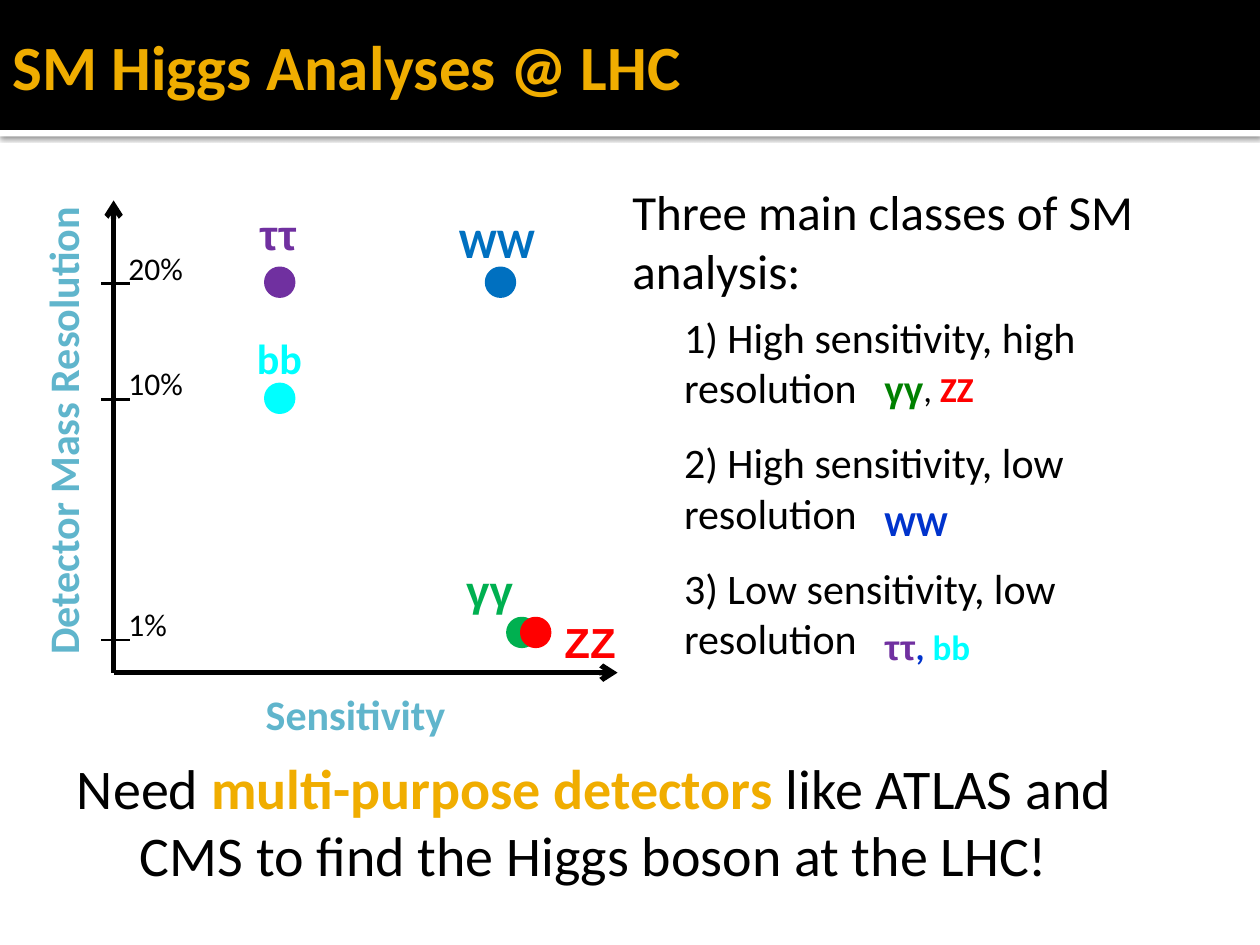
from lxml.etree import SubElement
from pptx import Presentation
from pptx.dml.color import RGBColor
from pptx.enum.shapes import MSO_CONNECTOR as Connector, MSO_SHAPE as Shape
from pptx.enum.text import MSO_ANCHOR as Anchor, MSO_AUTO_SIZE as AutoSize, PP_ALIGN as Align
from pptx.oxml.ns import qn
from pptx.util import Cm, Pt

COLORS = {
    "black": "000000", "white": "FFFFFF", "gold": "F0AD00", "teal": "60B5CC",
    "green": "00B050", "red": "FF0000", "blue": "0070C0", "purple": "7030A0",
    "cyan": "00FFFF", "dark green": "008000", "royal": "0033CC",
}


def rgb(name):
    return RGBColor.from_string(COLORS[name])


def add_span(para, text, size, color="black", bold=False, font="Calibri"):
    span = para.add_run()
    span.text = text
    span.font.size = Pt(size)
    span.font.name = font
    span.font.bold = bold
    span.font.color.rgb = rgb(color)


def add_text(page, left, top, width, height, spans, size, align=Align.LEFT):
    """Text box with one paragraph; spans are (text, color, bold, font) tuples."""
    box = page.shapes.add_textbox(Cm(left), Cm(top), Cm(width), Cm(height))
    box.text_frame.word_wrap = True
    para = box.text_frame.paragraphs[0]
    para.alignment = align
    for text, *style in spans:
        add_span(para, text, size, *style)
    return box


def add_line(page, start, end, width, arrow=False):
    line = page.shapes.add_connector(
        Connector.STRAIGHT, *(Cm(value) for value in (*start, *end)))
    line.line.color.rgb = rgb("black")
    line.line.width = Pt(width)
    if arrow:
        SubElement(line.line._get_or_add_ln(), qn("a:tailEnd"), type="arrow")
    SubElement(line.element.spPr, qn("a:effectLst"))


def add_solid(page, kind, left, top, width, height, color):
    solid = page.shapes.add_shape(kind, Cm(left), Cm(top), Cm(width), Cm(height))
    solid.shadow.inherit = False
    solid.fill.solid()
    solid.fill.fore_color.rgb = rgb(color)
    solid.line.fill.background()
    return solid


def place_header(page, left, top, width, height):
    # White rule with a soft shadow, below the black band
    rule = add_solid(page, Shape.RECTANGLE, left, top + height, width, 0.13, "white")
    effects = rule.element.spPr.find(qn("a:effectLst"))
    shadow = SubElement(effects, qn("a:outerShdw"), blurRad=str(Pt(2.5)),
                        dist=str(Pt(0.8)), dir="5400000", rotWithShape="0")
    shade = SubElement(shadow, qn("a:srgbClr"), val=COLORS["black"])
    SubElement(shade, qn("a:alpha"), val="60000")
    band = add_solid(page, Shape.RECTANGLE, left, top, width, height, "black")

    # Title in front of the band
    title = page.shapes.title
    band.element.addnext(title.element)
    title.left, title.top = Cm(left), Cm(top)
    title.width, title.height = Cm(21.6), Cm(height)
    frame = title.text_frame
    frame.auto_size = AutoSize.NONE
    frame.vertical_anchor = Anchor.MIDDLE
    frame.margin_left = Cm(0.25)
    frame.margin_right = frame.margin_top = frame.margin_bottom = Cm(0.13)
    frame.paragraphs[0].alignment = Align.LEFT
    add_span(frame.paragraphs[0], "SM Higgs Analyses @ LHC", 36, "gold", True)


def place_plot(page, left, top, width, height):
    # Axes and their names
    origin = (left, top + height)
    add_line(page, origin, (left + width, top + height), 3, arrow=True)
    add_line(page, origin, (left, top), 3, arrow=True)
    add_text(page, left + 1.07, top + height + 0.2, 7.62, 1.27,
             [("Sensitivity", "teal", True)], 24, Align.CENTER)
    name = add_text(page, left - 6.53, top + 4.01, 11, 1.27,
                    [("Detector Mass Resolution", "teal", True)], 24, Align.CENTER)
    name.rotation = 270

    # Decay channels: dot centre, then label corner
    dot = 0.5
    channels = [
        ("γγ", "green", "Arial", (8.23, 8.71), (6.86, 7.21)),
        ("ΖΖ", "red", "Arial", (8.51, 8.71), (8.84, 8.26)),
        ("WW", "blue", "Calibri", (7.8, 1.65), (6.71, 0.2)),
        ("ττ", "purple", "Arial", (3.35, 1.65), (2.69, 0.03)),
        ("bb", "cyan", "Calibri", (3.35, 3.99), (2.64, 2.54)),
    ]
    for label, color, font, (x, y), (label_x, label_y) in channels:
        mark = add_solid(page, Shape.OVAL, left + x - dot / 2, top + y - dot / 2,
                         dot, dot, color)
        mark.line.color.rgb = rgb(color)
        mark.line.width = Pt(3.78)
        add_text(page, left + label_x, top + label_y, 2.2, 1.27,
                 [(label, color, True, font)], 24)

    # Resolution scale
    for label, y in (("1%", 8.86), ("10%", 4.01), ("20%", 1.68)):
        add_line(page, (left + 0.33, top + y), (left - 0.26, top + y), 1.5)
        add_text(page, left + 0.05, top + y - 0.83, 5.64, 1.02, [(label,)], 18)


def place_classes(page, left, top, width):
    add_text(page, left, top, width, 1.45,
             [("Three main classes of SM analysis:",)], 28)
    # Each class with its channels and their drop below the class text
    classes = [
        ("1) High sensitivity, high resolution", 1.14,
         [("γγ", "dark green", True, "Arial"), (", ",), ("ZZ", "red", True)]),
        ("2) High sensitivity, low resolution", 1.3, [("WW", "royal", True)]),
        ("3) Low sensitivity, low resolution", 1.27,
         [("ττ", "purple", True, "Arial"), (", ", "royal", True), ("bb", "cyan", True)]),
    ]
    for index, (text, drop, channels) in enumerate(classes):
        y = top + 2.62 + 2.53 * index
        add_text(page, left + 1.04, y, 11.5, 1.27, [(text,)], 24)
        add_text(page, left + 5.08, y + drop, 5.5, 1.12, channels, 20)


def place_conclusion(page, left, top, width, height):
    add_text(page, left, top, width, height, [
        ("Need ",),
        ("multi-purpose detectors ", "gold", True),
        ("like ATLAS and CMS to find the Higgs boson at the LHC!",),
    ], 32, Align.CENTER)


def main():
    deck = Presentation()
    deck.slide_width, deck.slide_height = Cm(25.4), Cm(19.05)
    page = deck.slides.add_slide(deck.slide_layouts[5])
    place_header(page, 0, 0, 25.4, 2.62)
    place_plot(page, 2.29, 4.04, 10.16, 9.52)
    place_classes(page, 12.5, 3.53, 12.9)
    place_conclusion(page, 0.64, 15.06, 22.68, 3)
    deck.save("out.pptx")


if __name__ == "__main__":
    main()
